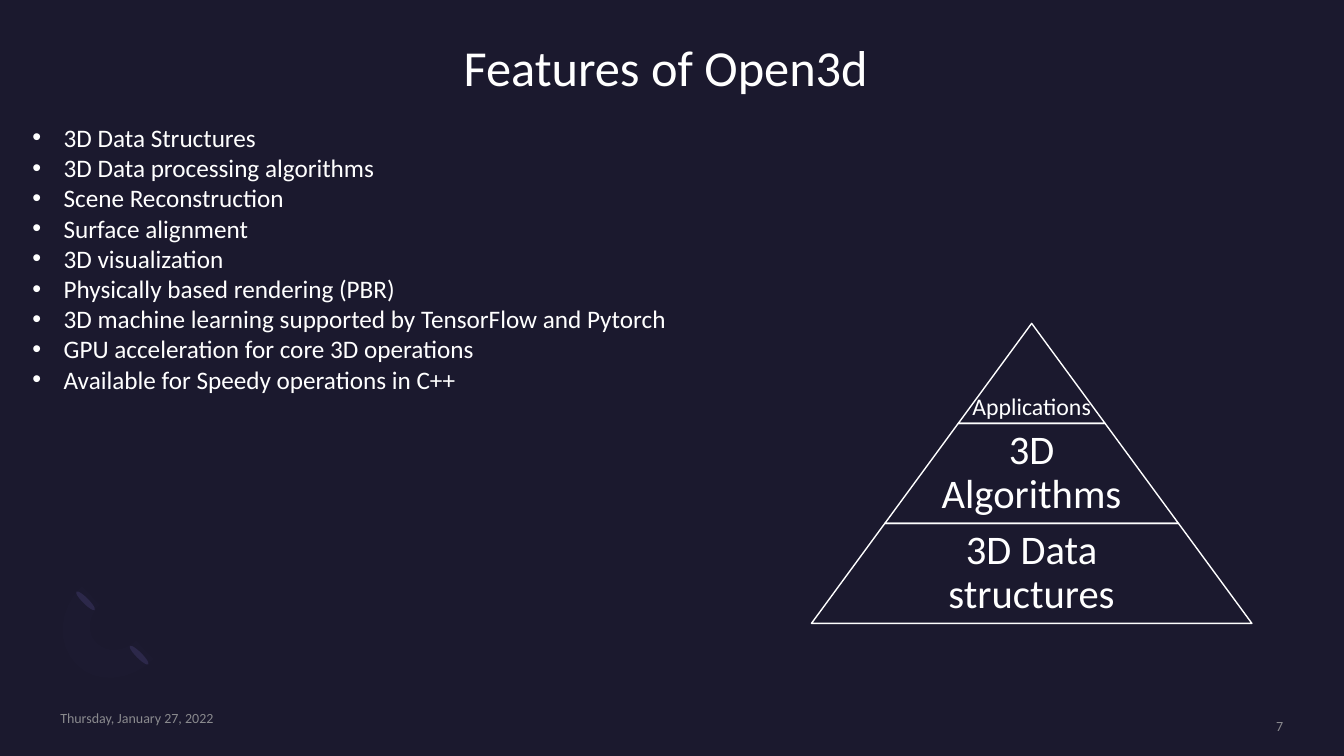
"""Build the slide on the features of Open3d with its three-tier pyramid."""
from lxml.etree import SubElement
from pptx import Presentation
from pptx.dml.color import RGBColor
from pptx.enum.shapes import MSO_SHAPE
from pptx.enum.text import MSO_ANCHOR, MSO_AUTO_SIZE, PP_ALIGN
from pptx.oxml.ns import qn
from pptx.util import Cm, Pt

NIGHT = RGBColor(0x1B, 0x19, 0x2E)
WHITE = RGBColor(0xFF, 0xFF, 0xFF)
GREY = RGBColor(0x8A, 0x8A, 0x8E)
INDIGO = RGBColor(0x2C, 0x28, 0x4A)
VIOLET = RGBColor(0x77, 0x71, 0xB2)
FONT = "Calibri"

FEATURES = [
    "3D Data Structures",
    "3D Data processing algorithms",
    "Scene Reconstruction",
    "Surface alignment",
    "3D visualization",
    "Physically based rendering (PBR)",
    "3D machine learning supported by TensorFlow and Pytorch",
    "GPU acceleration for core 3D operations",
    "Available for Speedy operations in C++",
]
TIERS = [
    ("Applications", 17, 1, MSO_ANCHOR.BOTTOM),
    ("3D Algorithms", 29, 0.65, MSO_ANCHOR.MIDDLE),
    ("3D Data structures", 29, 0.65, MSO_ANCHOR.MIDDLE),
]


def style(paragraph, size, color, align):
    paragraph.alignment = align
    for run in paragraph.runs:
        run.font.name = FONT
        run.font.size = Pt(size)
        run.font.color.rgb = color


def add_label(text, left, top, width, height, size, color, align, anchor, inset):
    frame = slide.shapes.add_textbox(Cm(left), Cm(top), Cm(width), Cm(height)).text_frame
    frame.word_wrap = True
    frame.vertical_anchor = anchor
    frame.margin_left = frame.margin_right = Cm(inset)
    frame.margin_top = frame.margin_bottom = Cm(inset)
    frame.text = text
    style(frame.paragraphs[0], size, color, align)
    return frame.paragraphs[0]


prs = Presentation()
prs.slide_width, prs.slide_height = Cm(33.87), Cm(19.05)
slide = prs.slides.add_slide(prs.slide_layouts[1])
slide.background.fill.solid()
slide.background.fill.fore_color.rgb = NIGHT

title, features = slide.placeholders
title.left, title.top, title.width, title.height = Cm(1.22), Cm(0.76), Cm(31.12), Cm(1.8)
title.text_frame.text = "Features of Open3d"
title.text_frame.auto_size = MSO_AUTO_SIZE.NONE
style(title.text_frame.paragraphs[0], 36, WHITE, PP_ALIGN.CENTER)

features.left, features.top, features.width, features.height = Cm(0.56), Cm(2.95), Cm(32.49), Cm(7.19)
features.text_frame.text = "\n".join(FEATURES)
features.text_frame.auto_size = MSO_AUTO_SIZE.NONE
for feature in features.text_frame.paragraphs:
    style(feature, 18, WHITE, PP_ALIGN.LEFT)
    feature.space_before = Pt(0)
    properties = feature._p.get_or_add_pPr()
    properties.set("marL", str(Cm(0.79)))
    properties.set("indent", str(-Cm(0.79)))
    bullet_color = SubElement(properties, qn("a:buClr"))
    SubElement(bullet_color, qn("a:srgbClr"), val=str(WHITE))
    SubElement(properties, qn("a:buFont"), typeface="Arial")
    SubElement(properties, qn("a:buChar"), char="•")

RING_OUTER = [(1.93, 16.74), (1.42, 16.23), (1.47, 15.37), (2.06, 14.78)]
RING_INNER = [(2.51, 15.24), (2.21, 15.52), (2.18, 15.98), (2.44, 16.21)]
RING_INNER_END = [(2.44, 16.21), (2.69, 16.46), (3.12, 16.43), (3.43, 16.15)]
RING_OUTER_END = [(3.86, 16.61), (3.3, 17.17), (2.41, 17.25), (1.93, 16.74)]
ring_points = []
for curve in (RING_OUTER, RING_INNER, RING_INNER_END, RING_OUTER_END):
    for step in range(9):
        t = step / 8
        weights = ((1 - t) ** 3, 3 * t * (1 - t) ** 2, 3 * t**2 * (1 - t), t**3)
        ring_points.append(tuple(Cm(sum(w * p[axis] for w, p in zip(weights, curve))) for axis in (0, 1)))
ring_builder = slide.shapes.build_freeform(*ring_points[0])
ring_builder.add_line_segments(ring_points[1:], close=True)
ring = ring_builder.convert_to_shape()
ring.shadow.inherit = False
ring.fill.solid()
ring.fill.fore_color.rgb = VIOLET
ring.line.fill.background()
SubElement(ring._element.spPr.find(qn("a:solidFill"))[0], qn("a:alpha"), val="2000")

for left, top in ((3.43, 16.18), (2.08, 14.81)):
    ring_end = slide.shapes.add_shape(MSO_SHAPE.OVAL, Cm(left), Cm(top), Cm(0.15), Cm(0.66))
    ring_end.rotation = 135
    ring_end.shadow.inherit = False
    ring_end.fill.solid()
    ring_end.fill.fore_color.rgb = INDIGO
    ring_end.line.fill.background()

CENTRE, APEX, TIER_HEIGHT, WIDTH_STEP = 26, 8.15, 2.52, 3.7
for level, (name, size, text_share, anchor) in enumerate(TIERS):
    width = WIDTH_STEP * (level + 1)
    top = APEX + TIER_HEIGHT * level
    tier = slide.shapes.add_shape(
        MSO_SHAPE.TRAPEZOID, Cm(CENTRE - width / 2), Cm(top), Cm(width), Cm(TIER_HEIGHT))
    tier.adjustments[0] = WIDTH_STEP / 2 / TIER_HEIGHT
    tier.shadow.inherit = False
    tier.fill.background()
    tier.line.color.rgb = WHITE
    tier.line.width = Pt(1)
    text_width = width * text_share
    tier_name = add_label(name, CENTRE - text_width / 2, top, text_width, TIER_HEIGHT,
                          size, WHITE, PP_ALIGN.CENTER, anchor, 0.08)
    tier_name.line_spacing = 0.9

add_label("Thursday, January 27, 2022", 1.52, 17.88, 7.32, 0.43, 10, GREY,
          PP_ALIGN.LEFT, MSO_ANCHOR.MIDDLE, 0)
add_label("7", 27.64, 18.08, 4.7, 0.43, 10, GREY, PP_ALIGN.RIGHT, MSO_ANCHOR.MIDDLE, 0)

prs.save("out.pptx")
